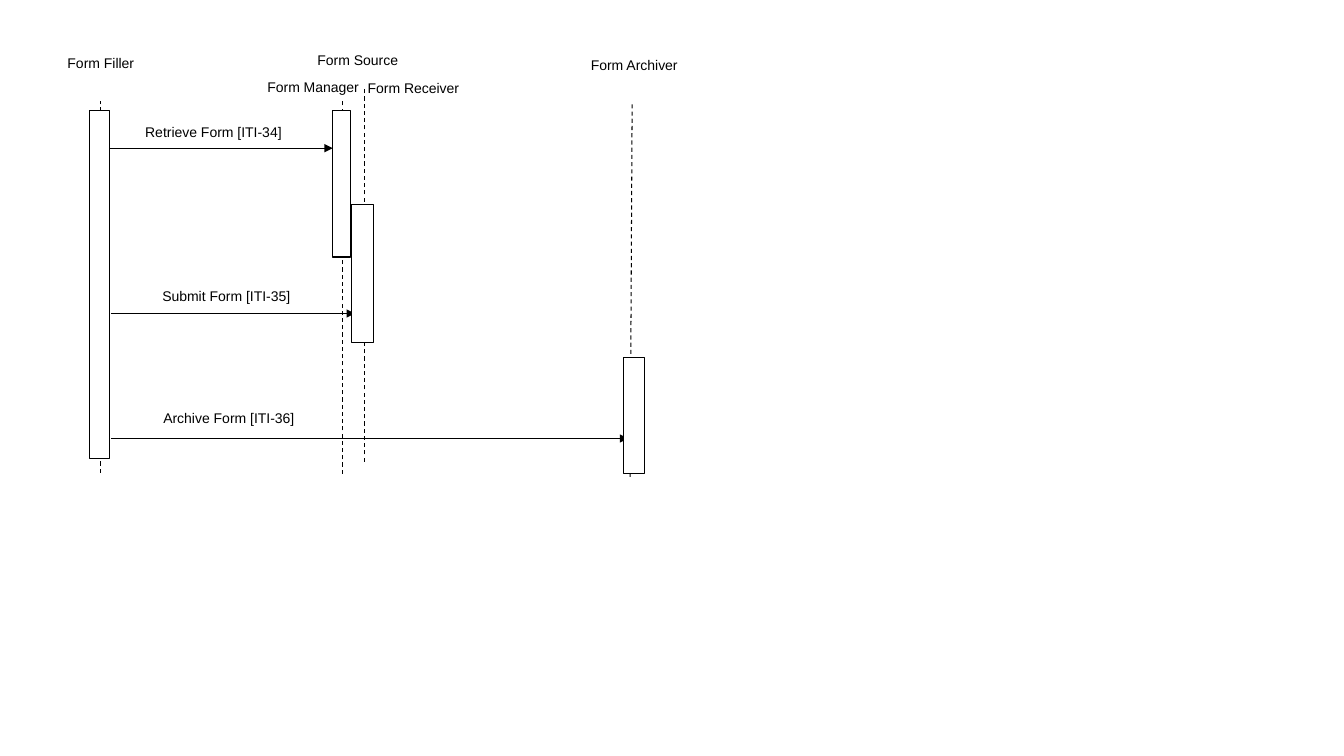
from lxml.etree import SubElement
from pptx import Presentation
from pptx.dml.color import RGBColor
from pptx.enum.dml import MSO_LINE
from pptx.enum.shapes import MSO_CONNECTOR, MSO_SHAPE
from pptx.enum.text import MSO_ANCHOR, PP_ALIGN
from pptx.oxml.ns import qn
from pptx.util import Emu, Pt

BLACK = RGBColor(0, 0, 0)
WHITE = RGBColor(255, 255, 255)
PX = 9144  # 100 px to the inch

# name, left, top, width
ACTORS = [
    ("Form Filler", 48, 54, 104),
    ("Form Manager", 259, 78, 103),
    ("Form Receiver", 360, 79, 100),
    ("Form Archiver", 579, 56, 100),
]
# label, left, top, width, height
MESSAGE_LABELS = [
    ("Retrieve Form [ITI-34]", 144, 123, 193, 40),
    ("Submit Form [ITI-35]", 161, 285, 138, 24),
    ("Archive Form [ITI-36]", 162, 406, 134, 24),
]
# bottom x, bottom y, top x, top y
LIFELINES = [
    (100, 469, 100, 100),
    (340, 470, 340, 100),
    (362, 458, 362, 88),
    (625, 473, 627, 102),
]
# sender x, receiver x, y
MESSAGES = [(106, 330, 147), (110, 352, 311), (110, 623, 435)]
# left, top, width, height
ACTIVATIONS = [
    (89, 110, 20, 345),
    (330, 110, 18, 145),
    (349, 203, 21, 137),
    (618, 355, 21, 115),
]


def px(*lengths):
    return [Emu(length * PX) for length in lengths]


def write(text_frame, text, align):
    text_frame.word_wrap = True
    text_frame.vertical_anchor = MSO_ANCHOR.TOP
    paragraph = text_frame.paragraphs[0]
    paragraph.alignment = align
    run = paragraph.add_run()
    run.text = text
    run.font.name = "Arial"
    run.font.size = Pt(10)
    run.font.color.rgb = BLACK


def add_box(slide, *bounds):
    shape = slide.shapes.add_shape(MSO_SHAPE.RECTANGLE, *px(*bounds))
    shape.shadow.inherit = False
    shape.fill.solid()
    shape.fill.fore_color.rgb = WHITE
    return shape


def add_label(slide, text, bounds, align):
    shape = add_box(slide, *bounds)
    shape.line.fill.background()
    frame = shape.text_frame
    frame.margin_left = frame.margin_right = 0
    frame.margin_top = frame.margin_bottom = 0
    write(frame, text, align)


def add_activation(slide, bounds):
    shape = add_box(slide, *bounds)
    shape.line.color.rgb = BLACK
    shape.line.width = Pt(0.75)


def add_line(slide, *ends):
    connector = slide.shapes.add_connector(MSO_CONNECTOR.STRAIGHT, *px(*ends))
    connector.line.color.rgb = BLACK
    connector.line.width = Pt(0.75)
    SubElement(connector._element.spPr, qn("a:effectLst"))
    return connector


def add_lifeline(slide, ends):
    add_line(slide, *ends).line.dash_style = MSO_LINE.DASH


def add_message(slide, sender, receiver, y):
    connector = add_line(slide, sender, y, receiver, y)
    line = connector.line._get_or_add_ln()
    SubElement(line, qn("a:tailEnd"), type="triangle")


def main():
    presentation = Presentation()
    presentation.slide_width, presentation.slide_height = px(1333, 750)
    slide = presentation.slides.add_slide(presentation.slide_layouts[6])

    # Actor and message labels
    for name, left, top, width in ACTORS:
        add_label(slide, name, (left, top, width, 35), PP_ALIGN.CENTER)
    for text, *bounds in MESSAGE_LABELS:
        add_label(slide, text, bounds, PP_ALIGN.LEFT)
    form_source = slide.shapes.add_textbox(*px(305, 46, 155, 32))
    write(form_source.text_frame, "Form Source", PP_ALIGN.LEFT)

    # Lifelines, then messages, with the activation bars in front
    for ends in LIFELINES:
        add_lifeline(slide, ends)
    for message in MESSAGES:
        add_message(slide, *message)
    for bounds in ACTIVATIONS:
        add_activation(slide, bounds)

    presentation.save("out.pptx")


if __name__ == "__main__":
    main()
